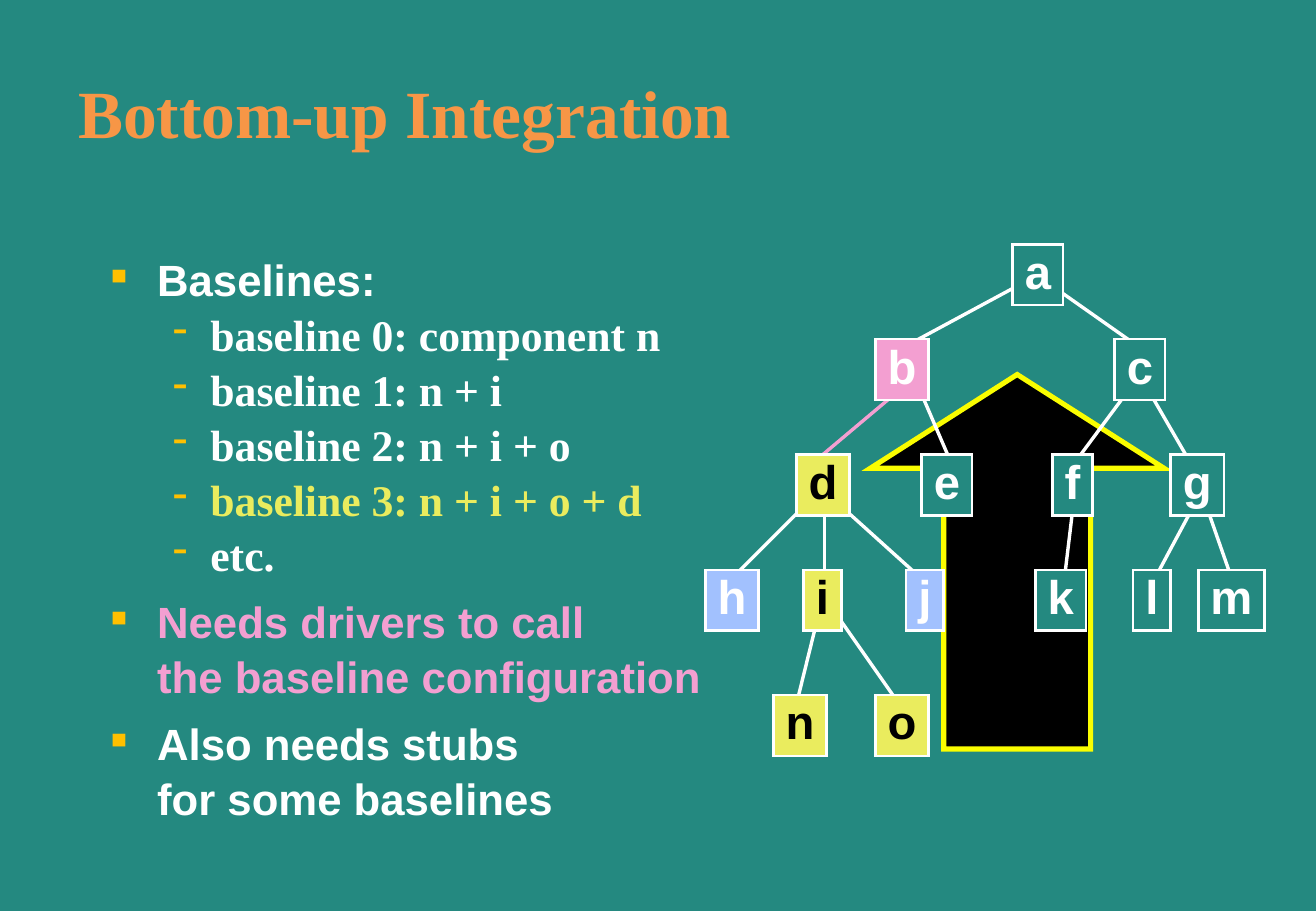
from lxml import etree
from pptx import Presentation
from pptx.dml.color import RGBColor
from pptx.enum.shapes import MSO_CONNECTOR as Connector, MSO_SHAPE as Shape
from pptx.enum.text import MSO_ANCHOR as Anchor, MSO_AUTO_SIZE as AutoSize
from pptx.enum.text import PP_ALIGN as Align
from pptx.oxml.ns import qn
from pptx.util import Pt

TEAL, WHITE, BLACK = "248980", "FFFFFF", "000000"
PINK, YELLOW, BLUE = "F39FD1", "EAEC5E", "A2C1FE"
ORANGE, GOLD, BRIGHT = "F79646", "FFC000", "FAFD00"
SANS, SERIF = "Arial", "Times New Roman"

# Content: bullet level, colour, lines of text
TITLE = "Bottom-up Integration"
BULLETS = [
    (0, WHITE, ["Baselines:"]),
    (1, WHITE, ["baseline 0: component n"]),
    (1, WHITE, ["baseline 1: n + i"]),
    (1, WHITE, ["baseline 2: n + i + o"]),
    (1, YELLOW, ["baseline 3: n + i + o + d"]),
    (1, WHITE, ["etc."]),
    (0, PINK, ["Needs drivers to call", "the baseline configuration"]),
    (0, WHITE, ["Also needs stubs", "for some baselines"]),
]
# Per level: font, bullet sign, bullet size in percent, left margin, hang, space before
LEVELS = [(SANS, "■", 50, 27.4, 27.4, 7), (SERIF, "-", 100, 59, 22.3, 0)]

# Tree: row top, then the centre of each component
ROWS = [
    (144.9, {"a": 615.6}),
    (201.1, {"b": 535, "c": 676.1}),
    (269.5, {"d": 488.2, "e": 561.6, "f": 636.1, "g": 710.1}),
    (337.9, {"h": 434.2, "i": 487.8, "j": 548.5, "k": 629.1,
             "l": 683.1, "m": 730.3}),
    (412.1, {"n": 474.5, "o": 535}),
]
NODE_HEIGHT = 36
WIDTHS = {"a": 30, "c": 30, "e": 30, "k": 30, "f": 23.8,
          "i": 22.3, "j": 22.3, "l": 22.3, "m": 39.2}
USUAL_WIDTH = 31.7
NODE_COLOURS = {"b": (PINK, WHITE)}
NODE_COLOURS.update(dict.fromkeys("dino", (YELLOW, BLACK)))
NODE_COLOURS.update(dict.fromkeys("hj", (BLUE, WHITE)))
LINKS = {
    "ab": (610.6, 165.6, 537.1, 205.2),
    "ac": (618.5, 165.6, 676.8, 206.6),
    "bd": (532.8, 231.8, 483.1, 273.6),
    "be": (545.8, 231.8, 563.8, 273.6),
    "cf": (677.5, 220.3, 637.9, 273.6),
    "cg": (676.8, 223.9, 705.6, 273.6),
    "dh": (486.7, 290.2, 431.3, 345.6),
    "di": (488.9, 300.2, 488.9, 342),
    "dj": (499, 300.2, 549.4, 345.6),
    "fk": (637.2, 293.8, 631.4, 342),
    "gl": (707.8, 300.2, 685.4, 342),
    "gm": (712.8, 292.3, 732.2, 347.8),
    "in": (487.4, 356.4, 472.3, 417.6),
    "io": (489.6, 355, 535, 419.8),
}
LINK_COLOURS = {"bd": PINK}


def paint(target, colour):
    if hasattr(target, "solid"):
        target.solid()
        target.fore_color.rgb = RGBColor.from_string(colour)
    else:
        target.color.rgb = RGBColor.from_string(colour)


def add_span(para, text, font, size, colour):
    span = para.add_run()
    span.text = text
    span.font.name, span.font.size, span.font.bold = font, Pt(size), True
    paint(span.font, colour)


def add_block(page, kind, left, top, width, height, fill, line, weight):
    block = page.shapes.add_shape(kind, Pt(left), Pt(top), Pt(width), Pt(height))
    block.shadow.inherit = False
    paint(block.fill, fill)
    paint(block.line, line)
    block.line.width = Pt(weight)
    # Sharp outline corners
    outline = block.element.spPr.find(qn("a:ln"))
    etree.SubElement(outline, qn("a:miter"), lim="800000")
    return block


def add_text_box(page, left, top, width, height):
    box = page.shapes.add_textbox(Pt(left), Pt(top), Pt(width), Pt(height))
    box.text_frame.word_wrap = True
    return box.text_frame


def add_link(page, ends, colour):
    link = page.shapes.add_connector(Connector.STRAIGHT, *map(Pt, ends))
    paint(link.line, colour)
    link.line.width = Pt(2)
    etree.SubElement(link.element.spPr, qn("a:effectLst"))


def add_node(page, name, centre, top):
    fill, ink = NODE_COLOURS.get(name, (TEAL, WHITE))
    width = WIDTHS.get(name, USUAL_WIDTH)
    node = add_block(page, Shape.RECTANGLE, centre - width / 2, top,
                     width, NODE_HEIGHT, fill, WHITE, 1.5)
    frame = node.text_frame
    frame.word_wrap = False
    frame.auto_size = AutoSize.SHAPE_TO_FIT_TEXT
    frame.vertical_anchor = Anchor.MIDDLE
    para = frame.paragraphs[0]
    para.alignment = Align.CENTER
    para.line_spacing = 0.85
    add_span(para, name, SANS, 28, ink)


def set_bullet(para, sign, percent, margin, hang):
    props = para._p.get_or_add_pPr()
    props.set("marL", str(Pt(margin)))
    props.set("indent", str(-Pt(hang)))
    colour = etree.SubElement(props, qn("a:buClr"))
    etree.SubElement(colour, qn("a:srgbClr"), val=GOLD)
    etree.SubElement(props, qn("a:buSzPct"), val=str(percent * 1000))
    etree.SubElement(props, qn("a:buChar"), char=sign)


def add_bullets(page):
    frame = add_text_box(page, 58.7, 144.7, 663, 336)
    for index, (level, colour, lines) in enumerate(BULLETS):
        font, sign, percent, margin, hang, before = LEVELS[level]
        para = frame.add_paragraph() if index else frame.paragraphs[0]
        para.level = level
        set_bullet(para, sign, percent, margin, hang)
        para.line_spacing = 1.05
        para.space_before = Pt(before if index else 0)
        for number, line in enumerate(lines):
            if number:
                para.add_line_break()
            add_span(para, line, font, 25.9, colour)


def main():
    deck = Presentation()
    deck.slide_width, deck.slide_height = Pt(780.48), Pt(540)
    page = deck.slides.add_slide(deck.slide_layouts[6])
    paint(page.background.fill, TEAL)

    # Upward arrow behind the tree
    arrow = add_block(page, Shape.UP_ARROW, 516.2, 222, 174.2, 222,
                      BLACK, BRIGHT, 3)
    arrow.adjustments[0], arrow.adjustments[1] = 0.5, 0.319

    # Title and bullets
    title = add_text_box(page, 39.3, 41.8, 663, 48.2)
    title.vertical_anchor = Anchor.MIDDLE
    add_span(title.paragraphs[0], TITLE, SERIF, 40, ORANGE)
    add_bullets(page)

    # Component tree: links first, boxes over their ends
    for pair, ends in LINKS.items():
        add_link(page, ends, LINK_COLOURS.get(pair, WHITE))
    for top, row in ROWS:
        for name, centre in row.items():
            add_node(page, name, centre, top)

    deck.save("out.pptx")


if __name__ == "__main__":
    main()
